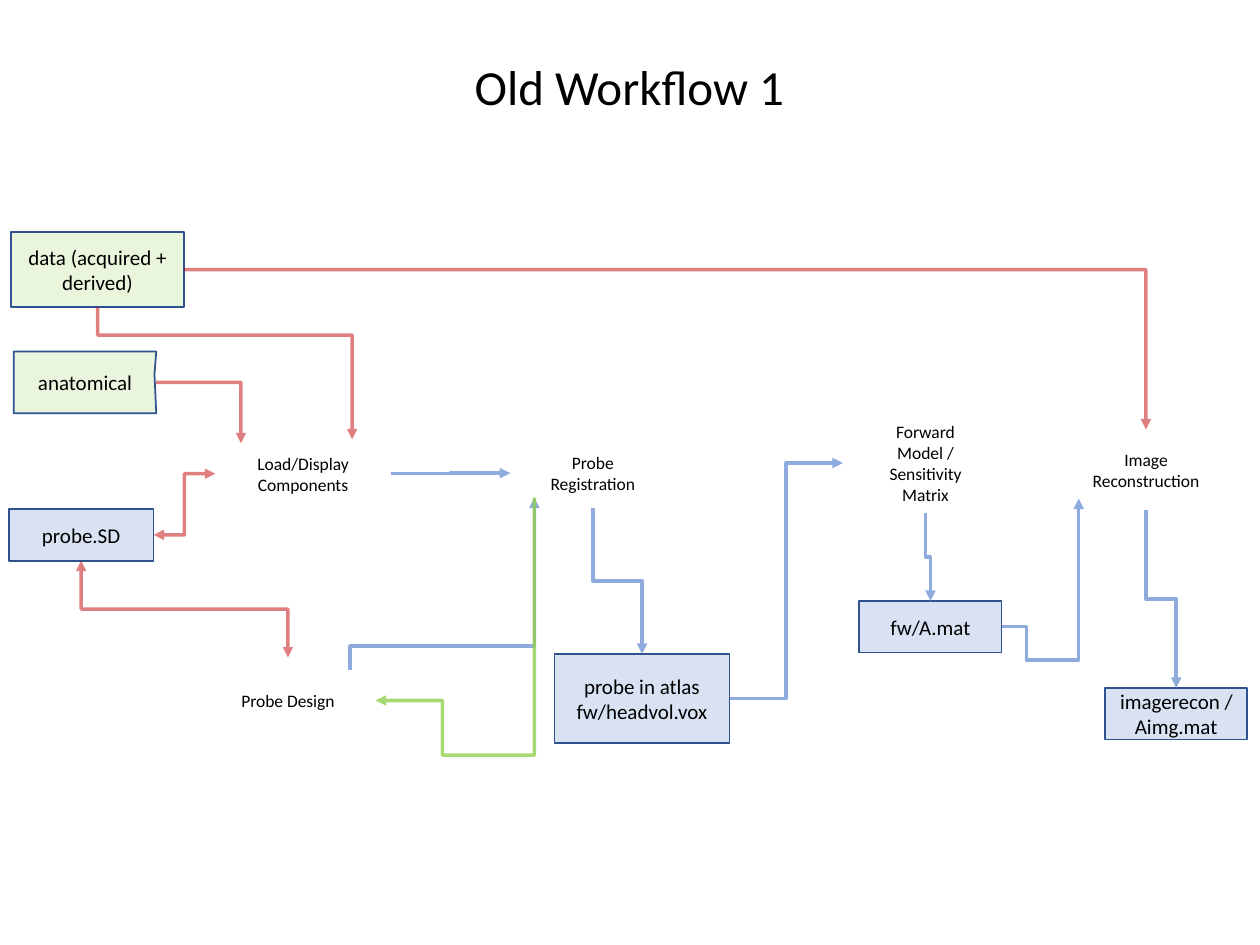
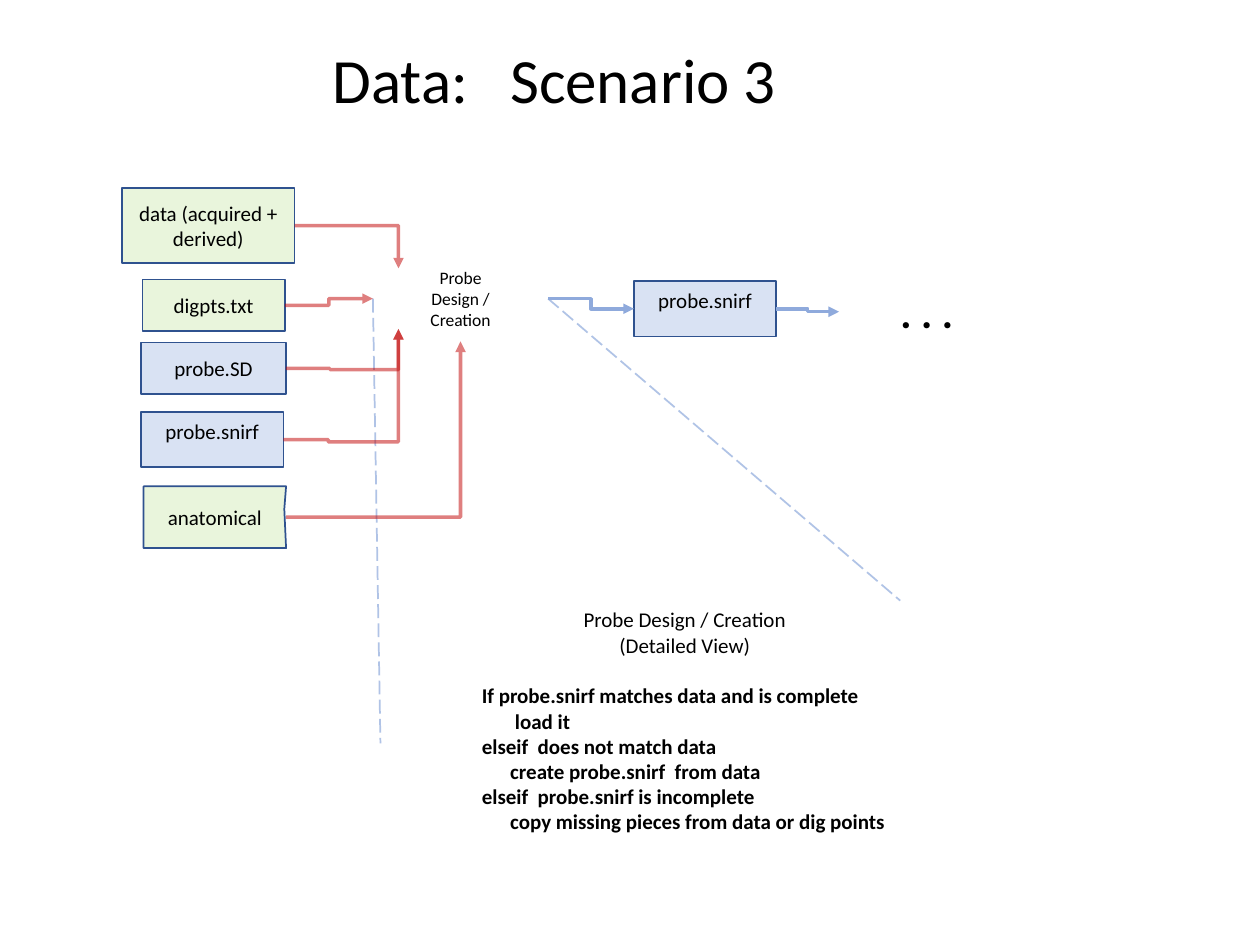
from dataclasses import dataclass

from lxml import etree
from pptx import Presentation
from pptx.dml.color import RGBColor
from pptx.enum.dml import MSO_LINE
from pptx.enum.shapes import MSO_CONNECTOR, MSO_SHAPE
from pptx.enum.text import MSO_ANCHOR, PP_ALIGN
from pptx.oxml.ns import qn
from pptx.util import Pt

RECTANGLE = MSO_SHAPE.RECTANGLE
ELBOW, STRAIGHT = MSO_CONNECTOR.ELBOW, MSO_CONNECTOR.STRAIGHT
LONG_DASH = MSO_LINE.LONG_DASH
TOP_ANCHOR, MIDDLE_ANCHOR = MSO_ANCHOR.TOP, MSO_ANCHOR.MIDDLE
CENTER, ALIGN_LEFT = PP_ALIGN.CENTER, PP_ALIGN.LEFT

# Shared look
FONT = "Calibri"
BLACK, OUTLINE = "000000", "2F528F"
INPUT, FILE = "92D050", "4472C4"
BLUE, RED, GREEN = ("8FAADC", 100), ("C00000", 50), ("92D050", 80)
ZOOM = ("4472C4", 42)
INSET_X, INSET_Y = 7.2, 3.6
ROUND = 0.146  # share of an ellipse's side outside its inner rectangle

# Anchor points as shares of a node's width and height
LEFT, RIGHT, TOP, BOTTOM = (0, 0.5), (1, 0.5), (0.5, 0), (0.5, 1)
NORTH_WEST, NORTH_EAST = (ROUND, ROUND), (1 - ROUND, ROUND)
SOUTH_WEST = (ROUND, 1 - ROUND)
UPPER_RIGHT = (0.78, 0.1)

Share = tuple[float, float]
HALFWAY = (0.5,)


@dataclass
class Node:
    text: str
    left: float
    top: float
    width: float
    height: float
    color: str = ""  # empty for a process step, which has no visible box
    anchor: MSO_ANCHOR = MIDDLE_ANCHOR
    size: float = 12
    bold: bool = False
    notched: bool = False

    def point(self, share: Share) -> Share:
        return self.left + share[0] * self.width, self.top + share[1] * self.height


@dataclass
class Route:
    source: Node
    source_side: Share
    target: Node
    target_side: Share
    look: tuple[str, int] = BLUE
    bends: tuple[float, ...] = HALFWAY
    starts_vertical: bool = False
    two_way: bool = False


def data_box(left: float, top: float) -> Node:
    return Node("data (acquired + derived)", left, top, 98.6, 43.2, INPUT)


def anatomical_box(left: float, top: float) -> Node:
    return Node("anatomical", left, top, 81.4, 35.3, INPUT, notched=True)


def probe_box(left: float, top: float) -> Node:
    return Node("probe.SD", left, top, 82.8, 29.5, FILE)


def snirf_box(left: float, top: float) -> Node:
    return Node("probe.snirf", left, top, 81.4, 31.7, FILE, TOP_ANCHOR)


def small_box(text: str, left: float, top: float, color: str = FILE) -> Node:
    return Node(text, left, top, 81.4, 29.5, color)


def step(text: str, left: float, top: float, width: float = 100.1,
         height: float = 49) -> Node:
    return Node(text, left, top, width, height, size=10)


def paint(fill, color: str, opacity: int = 100) -> None:
    fill.solid()
    fill.fore_color.rgb = RGBColor.from_string(color)
    if opacity < 100:
        color_element = fill.fore_color._xFill[0]
        etree.SubElement(color_element, qn("a:alpha"), val=str(opacity * 1000))


def write(shape, text: str, size: float, bold: bool = False,
          alignment=CENTER, anchor=TOP_ANCHOR,
          inset_x: float = INSET_X, inset_y: float = INSET_Y) -> None:
    frame = shape.text_frame
    frame.text = text
    frame.word_wrap = True
    frame.vertical_anchor = anchor
    frame.margin_left = frame.margin_right = Pt(inset_x)
    frame.margin_top = frame.margin_bottom = Pt(inset_y)
    for paragraph in frame.paragraphs:
        paragraph.alignment = alignment
        for run in paragraph.runs:
            run.font.name, run.font.size, run.font.bold = FONT, Pt(size), bold
            paint(run.font.fill, BLACK)


def add_title(slide, text: str, left: float, top: float, width: float,
              height: float, size: float, alignment):
    shape = slide.shapes.add_textbox(Pt(left), Pt(top), Pt(width), Pt(height))
    write(shape, text, size, alignment=alignment)
    return shape


def add_node(slide, node: Node):
    bounds = [Pt(v) for v in (node.left, node.top, node.width, node.height)]
    if not node.color:
        shape = slide.shapes.add_textbox(*bounds)
        write(shape, node.text, node.size, node.bold, anchor=node.anchor,
              inset_x=INSET_X + ROUND * node.width,
              inset_y=INSET_Y + ROUND * node.height)
        return shape
    if node.notched:
        right, bottom = node.left + node.width, node.top + node.height
        outline = [(right, node.top), (right - 1, node.top + 13),
                   (right, bottom), (node.left, bottom)]
        builder = slide.shapes.build_freeform(bounds[0], bounds[1], scale=1)
        builder.add_line_segments([(Pt(x), Pt(y)) for x, y in outline])
        shape = builder.convert_to_shape()
    else:
        shape = slide.shapes.add_shape(RECTANGLE, *bounds)
    shape.shadow.inherit = False
    paint(shape.fill, node.color, 20)
    paint(shape.line.fill, OUTLINE)
    shape.line.width = Pt(1)
    write(shape, node.text, node.size, node.bold, anchor=node.anchor)
    return shape


def add_line(slide, kind, start: Share, end: Share, look: tuple[str, int],
             width: float):
    connector = slide.shapes.add_connector(kind, *[Pt(v) for v in (*start, *end)])
    paint(connector.line.fill, *look)
    connector.line.width = Pt(width)
    etree.SubElement(connector._element.spPr, qn("a:effectLst"))
    return connector


def add_route(slide, route: Route) -> None:
    start = route.source.point(route.source_side)
    end = route.target.point(route.target_side)
    connector = add_line(slide, ELBOW, start, end, route.look, 2)
    properties = connector._element.spPr

    # Bends
    geometry = properties.find(qn("a:prstGeom"))
    geometry.set("prst", f"bentConnector{len(route.bends) + 2}")
    for number, bend in enumerate(route.bends, 1):
        etree.SubElement(geometry.find(qn("a:avLst")), qn("a:gd"),
                         name=f"adj{number}", fmla=f"val {round(bend * 100000)}")

    # A first leg that runs vertically needs a turned frame
    if route.starts_vertical:
        across, down = end[0] - start[0], end[1] - start[1]
        width, height = abs(down), abs(across)
        connector.left = Pt((start[0] + end[0] - width) / 2)
        connector.top = Pt((start[1] + end[1] - height) / 2)
        connector.width, connector.height = Pt(width), Pt(height)
        turn = 270 if across > 0 and down > 0 else 90
        frame = properties.find(qn("a:xfrm"))
        frame.set("rot", str(turn * 60000))
        frame.set("flipH", str(int(across > 0)))
        frame.set("flipV", str(int(across > 0 and down < 0)))

    # Arrowheads
    line = properties.find(qn("a:ln"))
    for end_name in ("a:headEnd", "a:tailEnd") if route.two_way else ("a:tailEnd",):
        etree.SubElement(line, qn(end_name), type="triangle")


def build_workflow(slide) -> None:
    add_title(slide, "Old Workflow 1", 167, 28.8, 385.2, 41, 28, CENTER)
    data = data_box(6.5, 132.5)
    anatomical = anatomical_box(7.9, 200.9)
    probe = probe_box(5, 290.9)
    load = step("Load/Display Components", 123.1, 246.2)
    design = step("Probe Design", 114.5, 375.8)
    registration = step("Probe Registration", 291.6, 250.6, 94.3, 39.6)
    forward = step("Forward Model / Sensitivity Matrix", 481.7, 236.2, 94.3, 56.9)
    image = step("Image Reconstruction", 600.5, 245.5, 108.7, 46.1)
    atlas = Node("probe in atlas\nfw/headvol.vox", 316.8, 373.7, 100.1, 51.1, FILE)
    matrix = small_box("fw/A.mat", 491, 343.4)
    result = small_box("imagerecon /Aimg.mat", 631.4, 393.1)
    for node in (data, anatomical, probe, load, design, registration, forward,
                 image, atlas, matrix, result):
        add_node(slide, node)

    for route in (
        Route(atlas, RIGHT, forward, LEFT),
        Route(forward, BOTTOM, matrix, TOP, starts_vertical=True),
        Route(probe, RIGHT, load, LEFT, RED, two_way=True),
        Route(anatomical, RIGHT, load, NORTH_WEST, RED, ()),
        Route(data, RIGHT, image, TOP, RED, ()),
        Route(probe, BOTTOM, design, TOP, RED, starts_vertical=True, two_way=True),
        Route(load, RIGHT, registration, LEFT),
        Route(registration, BOTTOM, atlas, TOP, starts_vertical=True),
        Route(data, BOTTOM, load, UPPER_RIGHT, RED, (0.21,), starts_vertical=True),
        Route(design, NORTH_EAST, registration, SOUTH_WEST, BLUE, (0.14,),
              starts_vertical=True),
        Route(matrix, RIGHT, image, SOUTH_WEST, BLUE, (0.32, -0.26)),
        Route(image, BOTTOM, result, TOP, starts_vertical=True),
        Route(registration, SOUTH_WEST, design, RIGHT, GREEN, (1.27, 0.58),
              starts_vertical=True),
    ):
        add_route(slide, route)


def build_scenario(slide) -> None:
    title = add_title(slide, "Data:\tScenario 3", 182.9, 19.4, 363.6, 50.4, 36,
                      ALIGN_LEFT)
    title_properties = title.text_frame.paragraphs[0]._p.get_or_add_pPr()
    tabs = etree.SubElement(title_properties, qn("a:tabLst"))
    etree.SubElement(tabs, qn("a:tab"), pos=str(Pt(101.5)), algn="l")

    data = data_box(69.8, 107.3)
    points = small_box("digpts.txt", 81.4, 159.8, INPUT)
    probe = probe_box(80.6, 195.8)
    snirf_input = snirf_box(80.6, 235.4)
    anatomical = anatomical_box(82.1, 277.9)
    creation = step("Probe Design / Creation", 213.1, 146.2)
    snirf_output = snirf_box(362.2, 160.6)
    further_steps = Node(". . .", 479.5, 141.8, 100.1, 72.7, size=24, bold=True)
    for node in (data, points, probe, snirf_input, anatomical, creation,
                 snirf_output, further_steps):
        add_node(slide, node)

    # Detailed view: centred heading, then the rules as pseudocode
    detail = Node("\n".join((
        "Probe Design / Creation",
        "(Detailed View)",
        "If probe.snirf matches data and is complete",
        "       load it",
        "elseif  does not match data",
        "      create probe.snirf  from data",
        "elseif  probe.snirf is incomplete",
        "      copy missing pieces from data or dig points",
    )), 217.4, 309.6, 347.8, 230.4, anchor=TOP_ANCHOR)
    rules = add_node(slide, detail).text_frame.paragraphs[2:]
    rules[0].space_before = Pt(14.65)
    for paragraph in rules:
        paragraph.alignment = ALIGN_LEFT
        paragraph.runs[0].font.bold = True

    for side, detail_side in ((RIGHT, NORTH_EAST), (LEFT, LEFT)):
        zoom_line = add_line(slide, STRAIGHT, creation.point(side),
                             detail.point(detail_side), ZOOM, 1)
        zoom_line.line.dash_style = LONG_DASH

    for route in (
        Route(creation, RIGHT, snirf_output, LEFT),
        Route(snirf_output, RIGHT, further_steps, LEFT),
        Route(data, RIGHT, creation, NORTH_WEST, RED, ()),
        Route(anatomical, RIGHT, creation, BOTTOM, RED, ()),
        Route(points, RIGHT, creation, LEFT, RED),
        Route(snirf_input, RIGHT, creation, SOUTH_WEST, RED, (0.39, -0.02)),
        Route(probe, RIGHT, creation, SOUTH_WEST, RED, (0.39, -0.03)),
    ):
        add_route(slide, route)


def main() -> None:
    presentation = Presentation()
    presentation.slide_width, presentation.slide_height = Pt(720), Pt(540)
    blank_layout = presentation.slide_layouts[6]
    for build in (build_workflow, build_scenario):
        build(presentation.slides.add_slide(blank_layout))
    presentation.save("out.pptx")


if __name__ == "__main__":
    main()
